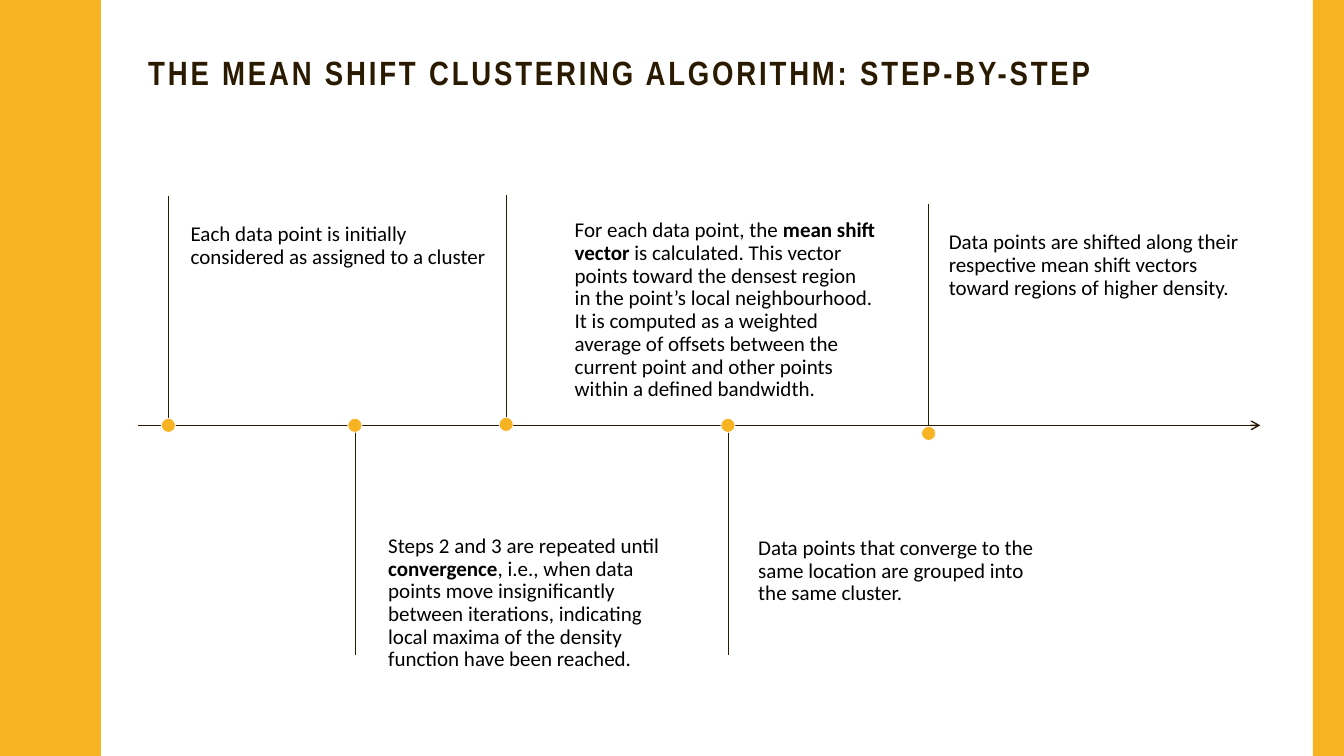
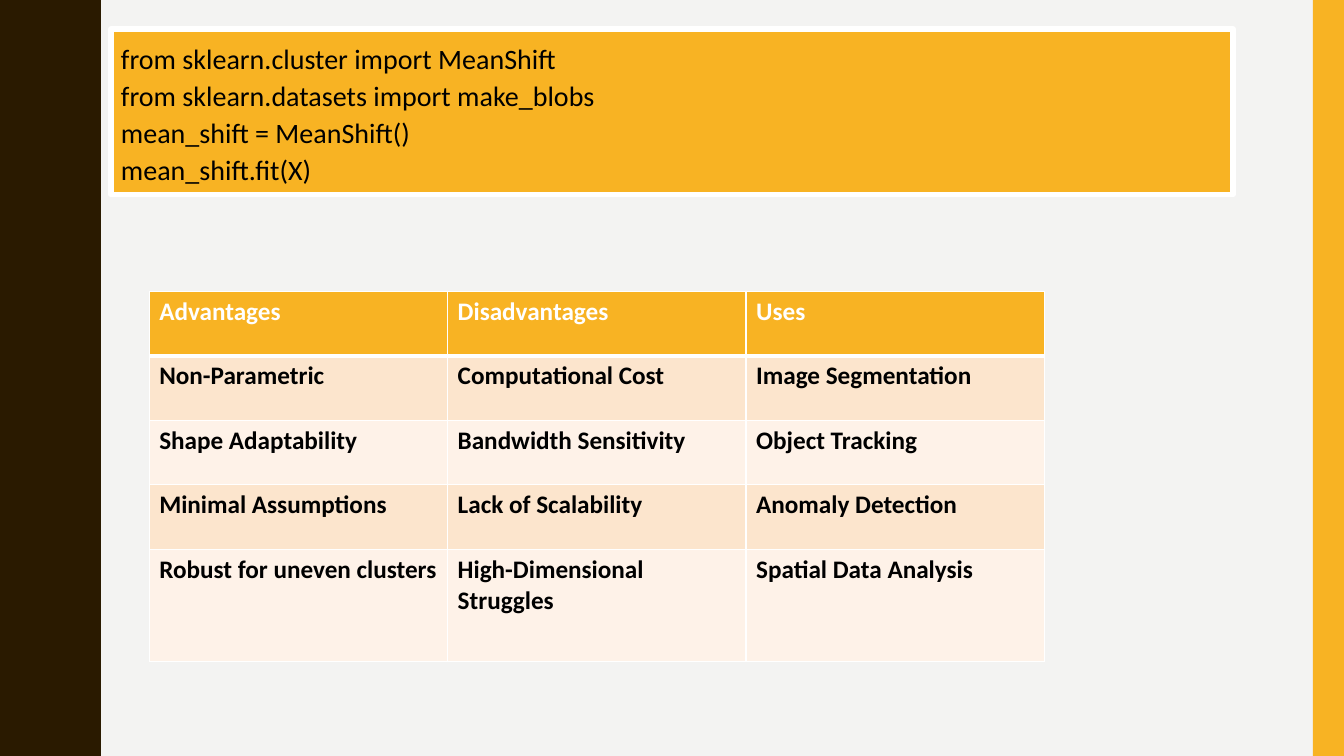
import dataclasses
import typing

import lxml.etree
import pptx
import pptx.dml.color
import pptx.enum.shapes
import pptx.enum.text
import pptx.oxml.ns
import pptx.util

Inches = pptx.util.Inches
Pt = pptx.util.Pt
qn = pptx.oxml.ns.qn
SHAPE = pptx.enum.shapes.MSO_SHAPE
ANCHOR = pptx.enum.text.MSO_ANCHOR

COLORS = {
    "amber": "F8B323",
    "brown": "2A1A00",
    "white": "FFFFFF",
    "pale": "F3F3F2",
    "black": "000000",
    "peach": "FCE5CD",
    "cream": "FEF2E8",
}
WIDTH, HEIGHT = 13.33, 7.5
HEADING_FONT, BODY_FONT = "Arial Narrow", "Calibri"
WAVE_PERIOD = 1.5
WAVE_LOW, WAVE_HIGH = 0.78, 0.97
# First quarter of one wave as (x, y); the rest follows by symmetry.
WAVE_QUARTER = [(0.78, 0), (0.78, 0.07), (0.79, 0.14), (0.8, 0.2), (0.81, 0.25),
                (0.83, 0.29), (0.85, 0.33)]
AXIS_Y = 4.22
DOT_SIZE = 0.14
STEM_LENGTH = 2.28


class Area(typing.NamedTuple):
    left: float
    top: float
    width: float
    height: float

    def lengths(self) -> list[int]:
        return [Inches(value) for value in self]


@dataclasses.dataclass
class Step:
    """One timeline entry; spans marked True are bold."""
    x: float
    text_left: float
    text_top: float
    spans: list[tuple[str, bool]]
    above: bool = True
    dot_y: float = AXIS_Y


STEPS = [
    Step(1.67, 1.89, 2.12,
         [("Each data point is initially considered as assigned to a cluster", False)]),
    Step(3.52, 3.85, 5.15,
         [("Steps 2 and 3 are repeated until ", False), ("convergence", True),
          (", i.e., when data points move insignificantly between iterations, "
           "indicating local maxima of the density function have been reached.", False)],
         above=False),
    Step(5.02, 5.7, 2.08,
         [("For each data point, the ", False), ("mean shift vector", True),
          (" is calculated. This vector points toward the densest region in the "
           "point’s local neighbourhood. It is computed as a weighted average of "
           "offsets between the current point and other points within a defined "
           "bandwidth.", False)],
         dot_y=4.21),
    Step(7.22, 7.52, 5.17,
         [("Data points that converge to the same location are grouped into the "
           "same cluster.", False)],
         above=False),
    Step(9.21, 9.41, 2.2,
         [("Data points are shifted along their respective mean shift vectors "
           "toward regions of higher density.", False)],
         dot_y=4.3),
]

CODE_LINES = [
    "from sklearn.cluster import MeanShift",
    "from sklearn.datasets import make_blobs",
    "mean_shift = MeanShift()",
    "mean_shift.fit(X)",
]

TABLE_ROWS = [
    ("Advantages", "Disadvantages", "Uses"),
    ("Non-Parametric", "Computational Cost", "Image Segmentation"),
    ("Shape Adaptability", "Bandwidth Sensitivity", "Object Tracking"),
    ("Minimal Assumptions", "Lack of Scalability", "Anomaly Detection"),
    ("Robust for uneven clusters", "High-Dimensional Struggles", "Spatial Data Analysis"),
]
ROW_HEIGHTS = [0.64, 0.64, 0.64, 0.64, 1.11]


def rgb(name: str) -> pptx.dml.color.RGBColor:
    return pptx.dml.color.RGBColor.from_string(COLORS[name])


def apply_format(target, values: dict) -> None:
    for name, value in values.items():
        setattr(target, name, value)


def add_span(para, text: str, size: float, color: str, bold: bool = False,
             font: str = BODY_FONT):
    span = para.add_run()
    span.text = text
    apply_format(span.font, {"name": font, "size": Pt(size), "bold": bold})
    span.font.color.rgb = rgb(color)
    return span


def format_frame(frame, anchor, margins: tuple[float, float, float, float]) -> None:
    """Set wrapping, anchor and the left, top, right and bottom margins."""
    sides = ("margin_left", "margin_top", "margin_right", "margin_bottom")
    apply_format(frame, {
        "word_wrap": True,
        "auto_size": pptx.enum.text.MSO_AUTO_SIZE.NONE,
        "vertical_anchor": anchor,
        **{side: Inches(margin) for side, margin in zip(sides, margins)},
    })


def place(shape, area: Area) -> None:
    apply_format(shape, dict(zip(("left", "top", "width", "height"), area.lengths())))


def paint(shape, fill: str, line: str | None = None, line_width: float = 0) -> None:
    shape.shadow.inherit = False
    shape.fill.solid()
    shape.fill.fore_color.rgb = rgb(fill)
    if line:
        shape.line.color.rgb = rgb(line)
        shape.line.width = Pt(line_width)
    else:
        shape.line.fill.background()


def add_line(page, start: tuple[float, float], end: tuple[float, float],
             width: float, arrow: bool = False) -> None:
    line = page.shapes.add_connector(
        pptx.enum.shapes.MSO_CONNECTOR.STRAIGHT,
        *[Inches(value) for value in (*start, *end)])
    line.line.color.rgb = rgb("brown")
    line.line.width = Pt(width)
    properties = line.element.spPr
    if arrow:
        lxml.etree.SubElement(properties.find(qn("a:ln")), qn("a:tailEnd"), type="arrow")
    lxml.etree.SubElement(properties, qn("a:effectLst"))


def wave_points() -> list[tuple[float, float]]:
    """Outline of the wavy edge from top to bottom."""
    half = WAVE_QUARTER + [(WAVE_LOW + WAVE_HIGH - x, WAVE_PERIOD / 2 - y)
                           for x, y in reversed(WAVE_QUARTER)]
    wave = half + [(x, WAVE_PERIOD - y) for x, y in reversed(half[:-1])]
    count = round(HEIGHT / WAVE_PERIOD)
    return [(x, y + index * WAVE_PERIOD) for index in range(count) for x, y in wave]


def add_backdrop(page, background: str, wave_color: str) -> None:
    page.background.fill.solid()
    page.background.fill.fore_color.rgb = rgb(background)
    builder = page.shapes.build_freeform(0, 0, scale=Inches(1))
    builder.add_line_segments(wave_points() + [(0, HEIGHT)], close=True)
    paint(builder.convert_to_shape(), wave_color)
    band = page.shapes.add_shape(SHAPE.RECTANGLE, *Area(13.02, 0, 0.31, HEIGHT).lengths())
    paint(band, "amber")


def set_title(page, text: str) -> None:
    title = page.shapes.title
    place(title, Area(1.37, 0.42, 11.13, 0.65))
    format_frame(title.text_frame, ANCHOR.MIDDLE, (0.1, 0.05, 0.1, 0.05))
    para = title.text_frame.paragraphs[0]
    apply_format(para, {"alignment": pptx.enum.text.PP_ALIGN.LEFT, "line_spacing": 0.9})
    span = add_span(para, text, 24, "brown", True, HEADING_FONT)
    span.font.element.set("spc", "200") if hasattr(span.font, "element") else \
        span._r.get_or_add_rPr().set("spc", "200")


def add_step(page, step: Step) -> None:
    box = page.shapes.add_textbox(
        *Area(step.text_left, step.text_top, 3.09, 1.69 if step.above else 0.91).lengths())
    margins = (0, 0.1, 0.1, 0.16) if step.above else (0, 0.16, 0.16, 0.1)
    format_frame(box.text_frame, ANCHOR.TOP, margins)
    para = box.text_frame.paragraphs[0]
    para.line_spacing = 0.9
    for text, bold in step.spans:
        add_span(para, text, 15, "black", bold)

    far_end = step.dot_y + (-STEM_LENGTH if step.above else STEM_LENGTH)
    add_line(page, (step.x, far_end), (step.x, step.dot_y), 0.5)
    dot = page.shapes.add_shape(
        SHAPE.OVAL, *Area(step.x - DOT_SIZE / 2, step.dot_y - DOT_SIZE / 2,
                          DOT_SIZE, DOT_SIZE).lengths())
    paint(dot, "amber", "white", 0.5)


def set_code(box) -> None:
    place(box, Area(1.1, 0.29, 11.13, 1.64))
    box.fill.solid()
    box.fill.fore_color.rgb = rgb("amber")
    box.line.color.rgb = rgb("white")
    box.line.width = Pt(4)
    format_frame(box.text_frame, ANCHOR.MIDDLE, (0.1, 0.05, 0.1, 0.05))
    para = box.text_frame.paragraphs[0]
    apply_format(para, {"line_spacing": 1.1, "space_before": Pt(7)})
    properties = para._p.get_or_add_pPr()
    for name in ("marL", "indent"):
        properties.set(name, "0")
    lxml.etree.SubElement(properties, qn("a:buNone"))
    for index, text in enumerate(CODE_LINES):
        if index:
            para.add_line_break()
        add_span(para, text, 20, "black")


def set_borders(cell, bottom_width: float) -> None:
    properties = cell._tc.get_or_add_tcPr()
    for index, side in enumerate(("lnL", "lnR", "lnT", "lnB")):
        width = bottom_width if side == "lnB" else 1
        border = lxml.etree.Element(qn(f"a:{side}"), w=str(Pt(width)))
        fill = lxml.etree.SubElement(border, qn("a:solidFill"))
        lxml.etree.SubElement(fill, qn("a:srgbClr"), val=COLORS["white"])
        properties.insert(index, border)


def add_comparison(page) -> None:
    frame = page.shapes.add_table(len(TABLE_ROWS), len(TABLE_ROWS[0]),
                                  *Area(1.48, 2.89, 8.89, 3.68).lengths())
    table = frame.table
    apply_format(table, {"first_row": True, "horz_banding": False})
    for column in table.columns:
        column.width = Inches(2.96)
    for row_index, texts in enumerate(TABLE_ROWS):
        table.rows[row_index].height = Inches(ROW_HEIGHTS[row_index])
        header = row_index == 0
        fill = "amber" if header else ("cream", "peach")[row_index % 2]
        for column_index, text in enumerate(texts):
            cell = table.cell(row_index, column_index)
            cell.fill.solid()
            cell.fill.fore_color.rgb = rgb(fill)
            set_borders(cell, 3 if header else 1)
            add_span(cell.text_frame.paragraphs[0], text, 18,
                     "white" if header else "black", True)


def build_steps_page(deck) -> None:
    page = deck.slides.add_slide(deck.slide_layouts.get_by_name("Title Only"))
    add_backdrop(page, "white", "amber")
    set_title(page, "THE MEAN SHIFT CLUSTERING ALGORITHM: STEP-BY-STEP")
    add_line(page, (1.37, AXIS_Y), (12.5, AXIS_Y), 0.95, arrow=True)
    for step in STEPS:
        add_step(page, step)


def build_code_page(deck) -> None:
    page = deck.slides.add_slide(deck.slide_layouts.get_by_name("Title and Content"))
    title = page.shapes.title.element
    title.getparent().remove(title)
    add_backdrop(page, "pale", "brown")
    set_code(page.placeholders[1])
    add_comparison(page)


def main() -> None:
    deck = pptx.Presentation()
    apply_format(deck, {"slide_width": Inches(WIDTH), "slide_height": Inches(HEIGHT)})
    build_steps_page(deck)
    build_code_page(deck)
    deck.save("out.pptx")


if __name__ == "__main__":
    main()
